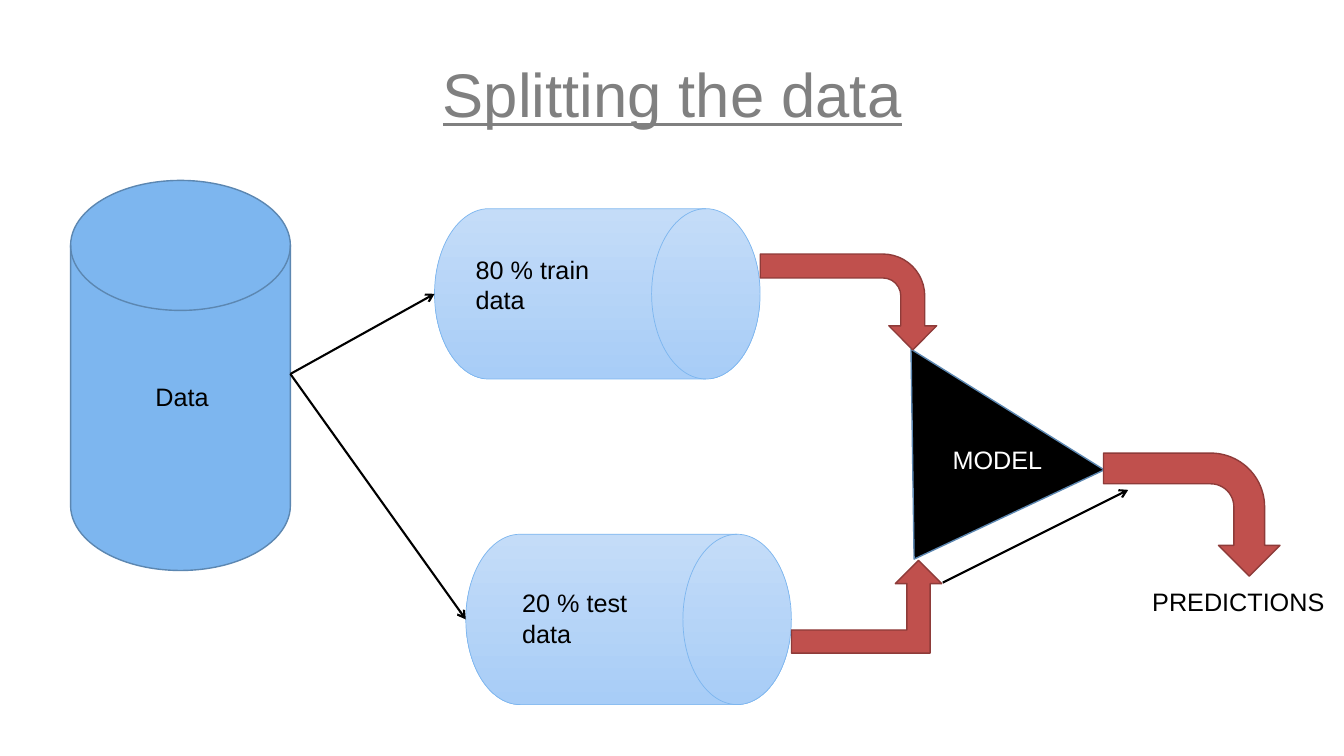
from pptx import Presentation
from pptx.dml.color import RGBColor
from pptx.enum.shapes import MSO_CONNECTOR, MSO_SHAPE
from pptx.enum.text import MSO_ANCHOR, MSO_AUTO_SIZE, PP_ALIGN
from pptx.oxml.ns import qn
from pptx.util import Inches, Pt
from lxml import etree

DISK = MSO_SHAPE.FLOWCHART_MAGNETIC_DISK
DRUM = MSO_SHAPE.FLOWCHART_DIRECT_ACCESS_STORAGE
MERGE = MSO_SHAPE.FLOWCHART_MERGE
BENT = MSO_SHAPE.BENT_ARROW
BENT_UP = MSO_SHAPE.BENT_UP_ARROW
STRAIGHT = MSO_CONNECTOR.STRAIGHT
LEFT, CENTER = PP_ALIGN.LEFT, PP_ALIGN.CENTER
MIDDLE = MSO_ANCHOR.MIDDLE
FIT = MSO_AUTO_SIZE.SHAPE_TO_FIT_TEXT

THEME = {
    "font": "Arial", "title_size": 44, "label_size": 18,
    "title": "808080", "text": "000000", "light": "FFFFFF",
    "store": ("7DB6EF", "5C87B1", 1),
    "part": (("C4DCF8", "A8CDF7"), "7DB6EF", 0.5),
    "model": ("000000", "5C87B1", 1),
    "flow": ("C0504D", "8E3B39", 1),
    "connector": ("000000", 1.5),
}

TITLE = ("Splitting the data", (0.67, 0.3, 12, 1.25))
SHAPES = {
    "data": (DISK, (0.7, 1.79, 2.18, 3.87), 0, "store"),
    "train": (DRUM, (4.31, 2.07, 3.23, 1.69), 0, "part"),
    "test": (DRUM, (4.62, 5.3, 3.23, 1.69), 0, "part"),
    "model": (MERGE, (8.4, 3.93, 2.26, 1.75), 32, "model"),
    "train_flow": (BENT, (7.94, 2.12, 0.95, 1.75), 90, "flow"),
    "test_flow": (BENT_UP, (7.85, 5.56, 1.49, 0.92), 0, "flow"),
    "prediction_flow": (BENT, (11.21, 4.23, 1.22, 1.75), 90, "flow"),
}
LABELS = [
    ("Data", (0.86, 3.73, 1.89, 0.4), CENTER, "text"),
    ("80 % train data", (4.62, 2.47, 1.76, 0.71), LEFT, "text"),
    ("20 % test data", (5.08, 5.78, 1.61, 0.71), LEFT, "text"),
    ("PREDICTIONS", (11.33, 5.77, 1.94, 0.4), LEFT, "text"),
    ("MODEL", (9.35, 4.36, 1.44, 0.4), LEFT, "light"),
]
CONNECTORS = [
    ((2.88, 3.71), (4.31, 2.91), "train"),
    ((2.88, 3.71), (4.62, 6.14), "test"),
    ((9.35, 5.78), (11.19, 4.86), None),
]


def rgb(value):
    return RGBColor.from_string(value)


def set_all(obj, values):
    for name, value in values.items():
        setattr(obj, name, value)


def write(tf, text, align, size, color, underline=None):
    tf.word_wrap = True
    p = tf.paragraphs[0]
    p.alignment = align
    r = p.add_run()
    r.text = text
    set_all(r.font, {"name": THEME["font"], "size": Pt(size), "underline": underline})
    r.font.color.rgb = rgb(THEME[color])


def add_shape(s, kind, box, rotation, style):
    fill, line, width = THEME[style]
    sp = s.shapes.add_shape(kind, *map(Inches, box))
    sp.rotation = rotation
    sp.shadow.inherit = False
    if isinstance(fill, tuple):
        sp.fill.gradient()
        sp.fill.gradient_angle = 270
        for stop, color in zip(sp.fill.gradient_stops, fill):
            stop.color.rgb = rgb(color)
    else:
        sp.fill.solid()
        sp.fill.fore_color.rgb = rgb(fill)
    sp.line.color.rgb = rgb(line)
    sp.line.width = Pt(width)
    return sp


def add_arrow(s, start, end, target):
    color, width = THEME["connector"]
    cxn = s.shapes.add_connector(STRAIGHT, *map(Inches, start + end))
    if target is not None:
        cxn.end_connect(target, 1)
    cxn.line.color.rgb = rgb(color)
    cxn.line.width = Pt(width)
    etree.SubElement(cxn.line._get_or_add_ln(), qn("a:tailEnd"), type="arrow")
    etree.SubElement(cxn._element.spPr, qn("a:effectLst"))


def main():
    prs = Presentation()
    set_all(prs, {"slide_width": Inches(13.33), "slide_height": Inches(7.5)})
    s = prs.slides.add_slide(prs.slide_layouts[5])

    text, box = TITLE
    title = s.shapes.title
    set_all(title, dict(zip(("left", "top", "width", "height"), map(Inches, box))))
    title.text_frame.vertical_anchor = MIDDLE
    write(title.text_frame, text, CENTER, THEME["title_size"], "title", True)

    shapes = {name: add_shape(s, *item) for name, item in SHAPES.items()}
    for start, end, target in CONNECTORS:
        add_arrow(s, start, end, shapes.get(target))
    for text, box, align, color in LABELS:
        tf = s.shapes.add_textbox(*map(Inches, box)).text_frame
        write(tf, text, align, THEME["label_size"], color)
        tf.auto_size = FIT

    prs.save("out.pptx")


if __name__ == "__main__":
    main()
